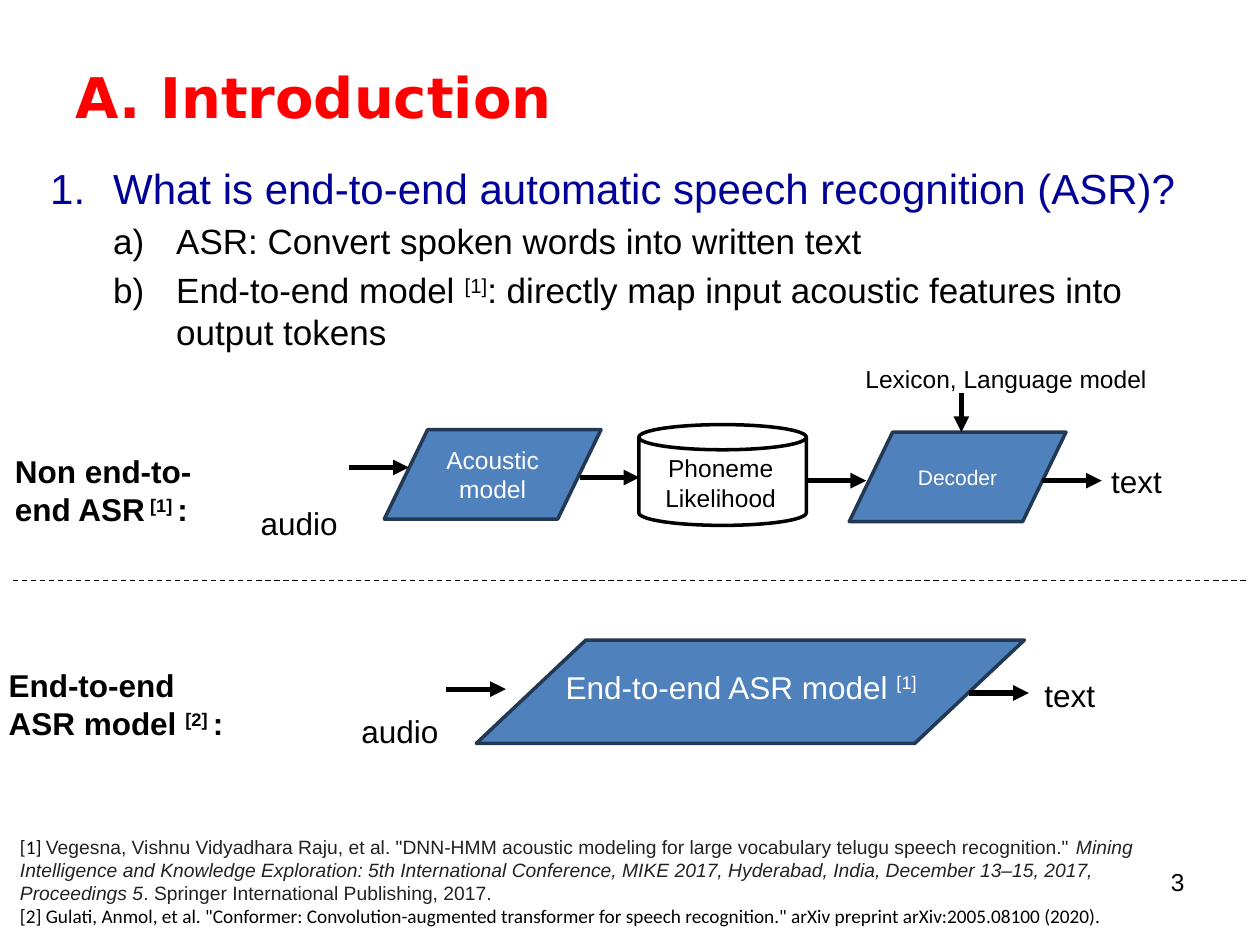
from lxml import etree
from pptx import Presentation
from pptx import util as u
from pptx.dml.color import RGBColor
from pptx.enum import dml, shapes, text
from pptx.oxml.ns import qn

COLORS = {
    "title": "FF0000", "question": "000099", "ink": "000000", "citation": "222222",
    "model": "4F81BD", "model_edge": "233953", "paper": "FFFFFF",
}
COLUMNS, ROWS = 100, 75
WIDTH, HEIGHT = u.Inches(10), u.Inches(7.5)
ARROW_COLUMNS = 4.75
SUP = {"raised": True}


def rgb(name):
    return RGBColor.from_string(COLORS[name])


def place(column, row):
    return round(column * WIDTH / COLUMNS), round(row * HEIGHT / ROWS)


def area(left, top, columns, rows):
    return (*place(left, top), *place(columns, rows))


def style_run(run, size, color="ink", font="Arial", bold=False, italic=False, raised=False):
    run.font.size = u.Pt(size)
    run.font.name = font
    run.font.bold = bold
    run.font.italic = italic
    run.font.color.rgb = rgb(color)
    if raised:
        run._r.get_or_add_rPr().set("baseline", "30000")


def write(frame, paragraphs, align=text.PP_ALIGN.LEFT, **style):
    for index, pieces in enumerate(paragraphs):
        paragraph = frame.add_paragraph() if index else frame.paragraphs[0]
        paragraph.alignment = align
        for wording, changes in pieces:
            run = paragraph.add_run()
            run.text = wording
            style_run(run, **{**style, **changes})


def plain(*lines):
    return [[(line, {})] for line in lines]


def add_text(slide, box, paragraphs, wrap=True, anchor=text.MSO_ANCHOR.TOP, **style):
    holder = slide.shapes.add_textbox(*area(*box))
    holder.text_frame.word_wrap = wrap
    holder.text_frame.vertical_anchor = anchor
    write(holder.text_frame, paragraphs, **style)
    return holder


def indent(paragraph, left, hanging=0):
    properties = paragraph._p.get_or_add_pPr()
    properties.set("marL", str(place(left, 0)[0]))
    properties.set("indent", str(-place(hanging, 0)[0]))
    return properties


def number(paragraph, scheme, left):
    properties = indent(paragraph, left, 5)
    etree.SubElement(properties, qn("a:buFont")).set("typeface", "+mj-lt")
    etree.SubElement(properties, qn("a:buAutoNum")).set("type", scheme)


def add_block(slide, kind, box, fill=None, edge="ink", label=None, size=14):
    block = slide.shapes.add_shape(kind, *area(*box))
    block.shadow.inherit = False
    if fill:
        block.fill.solid()
        block.fill.fore_color.rgb = rgb(fill)
    else:
        block.fill.background()
    block.line.color.rgb = rgb(edge)
    block.line.width = u.Pt(2)
    if label:
        write(block.text_frame, plain(label), align=text.PP_ALIGN.CENTER,
              size=size, color="paper")


def add_model(slide, box, label=None, size=14):
    add_block(slide, shapes.MSO_SHAPE.FLOWCHART_DATA, box, "model", "model_edge", label, size)


def add_line(slide, start, end, width):
    line = slide.shapes.add_connector(
        shapes.MSO_CONNECTOR.STRAIGHT, *place(*start), *place(*end))
    line.line.color.rgb = rgb("ink")
    line.line.width = u.Pt(width)
    etree.SubElement(line._element.spPr, qn("a:effectLst"))
    return line


def add_arrow(slide, start, end):
    arrow = add_line(slide, start, end, 3)
    etree.SubElement(arrow.line._get_or_add_ln(), qn("a:tailEnd")).set("type", "triangle")


def add_outline(slide):
    add_text(slide, (5, 3.1, 90, 9.1), plain("A. Introduction"),
             anchor=text.MSO_ANCHOR.MIDDLE, size=32, color="title",
             font="DejaVu Sans", bold=True)
    question = {"size": 24, "color": "question"}
    outline = add_text(slide, (3, 12.4, 94, 51.7), [
        [("What is end-to-end automatic speech recognition (ASR)?", question)],
        [("ASR: Convert spoken words into written text", {})],
        [("End-to-end model ", {}), ("[1]", SUP),
         (": directly map input acoustic features into output tokens", {})],
    ], size=20)
    heading, *points = outline.text_frame.paragraphs
    number(heading, "arabicPeriod", 5)
    for point in points:
        point.level = 1
        point.space_before = u.Pt(4)
        number(point, "alphaLcParenR", 10)


def add_pipeline(slide):
    add_text(slide, (0.2, 35.4, 16.9, 9.3),
             [[("Non end-to-end ASR", {}), (" [1] ", SUP), (":", {})]], size=18, bold=True)
    add_model(slide, (30.5, 34.1, 17.2, 7.1), "Acoustic model")
    add_model(slide, (67.4, 34.3, 17.2, 7.1), "Decoder", 12)
    add_block(slide, shapes.MSO_SHAPE.CAN, (50.7, 33.7, 13.3, 8))
    add_text(slide, (51.8, 35.5, 10.8, 5.7), plain("Phoneme", "Likelihood"),
             wrap=False, align=text.PP_ALIGN.CENTER, size=14)
    add_text(slide, (67.7, 28.4, 24.4, 3.4), plain("Lexicon, Language model"),
             wrap=False, size=14)
    add_arrow(slide, (76.3, 31.2), (76.3, 34.3))


def add_end_to_end(slide):
    add_text(slide, (-0.3, 52.4, 20.5, 5.7),
             [[("End-to-end ASR model ", {}), ("[2] ", SUP), (":", {})]], size=18, bold=True)
    add_model(slide, (37.8, 50.8, 43.5, 8.2))
    add_text(slide, (43.9, 52.5, 42.1, 5),
             [[("End-to-end ASR model ", {}), ("[1]", SUP)]], size=18, color="paper")


def add_flow(slide):
    for left, row in ((27.7, 37.1), (46, 37.9), (64, 38.15), (82.7, 38.15),
                      (35.4, 54.7), (76.9, 55)):
        add_arrow(slide, (left, row), (left + ARROW_COLUMNS, row))
    for signal, columns, corners in (
        ("audio", 8.2, ((19.7, 39.5), (27.7, 56))),
        ("text", 6.1, ((87.2, 36.2), (81.9, 53.2))),
    ):
        for corner in corners:
            add_text(slide, (*corner, columns, 4), plain(signal), wrap=False, size=18)


def add_references(slide):
    cited = {"font": "Arial", "color": "citation"}
    references = add_text(slide, (0, 65.8, 91.8, 8.4), [
        [("[1] ", {}),
         ('Vegesna, Vishnu Vidyadhara Raju, et al. "DNN-HMM acoustic modeling for large '
          'vocabulary telugu speech recognition." ', cited),
         ("Mining Intelligence and Knowledge Exploration: 5th International Conference, "
          "MIKE 2017, Hyderabad, India, December 13–15, 2017, Proceedings 5",
          {**cited, "italic": True}),
         (". Springer International Publishing, 2017.", cited)],
        [('[2] Gulati, Anmol, et al. "Conformer: Convolution-augmented transformer for '
          'speech recognition." arXiv preprint arXiv:2005.08100 (2020).', {})],
    ], size=11, font="Calibri")
    references.fill.solid()
    references.fill.fore_color.rgb = rgb("paper")
    for reference in references.text_frame.paragraphs:
        indent(reference, 0.6)


def main():
    deck = Presentation()
    deck.slide_width, deck.slide_height = WIDTH, HEIGHT
    slide = deck.slides.add_slide(deck.slide_layouts[6])
    add_outline(slide)
    add_text(slide, (71.7, 68.3, 23.3, 5.2), plain("3"), align=text.PP_ALIGN.RIGHT, size=14)
    add_references(slide)
    add_pipeline(slide)
    add_end_to_end(slide)
    add_flow(slide)
    divider = add_line(slide, (1, 46.1), (99, 46.1), 0.75)
    divider.line.dash_style = dml.MSO_LINE.DASH
    deck.save("out.pptx")


if __name__ == "__main__":
    main()
